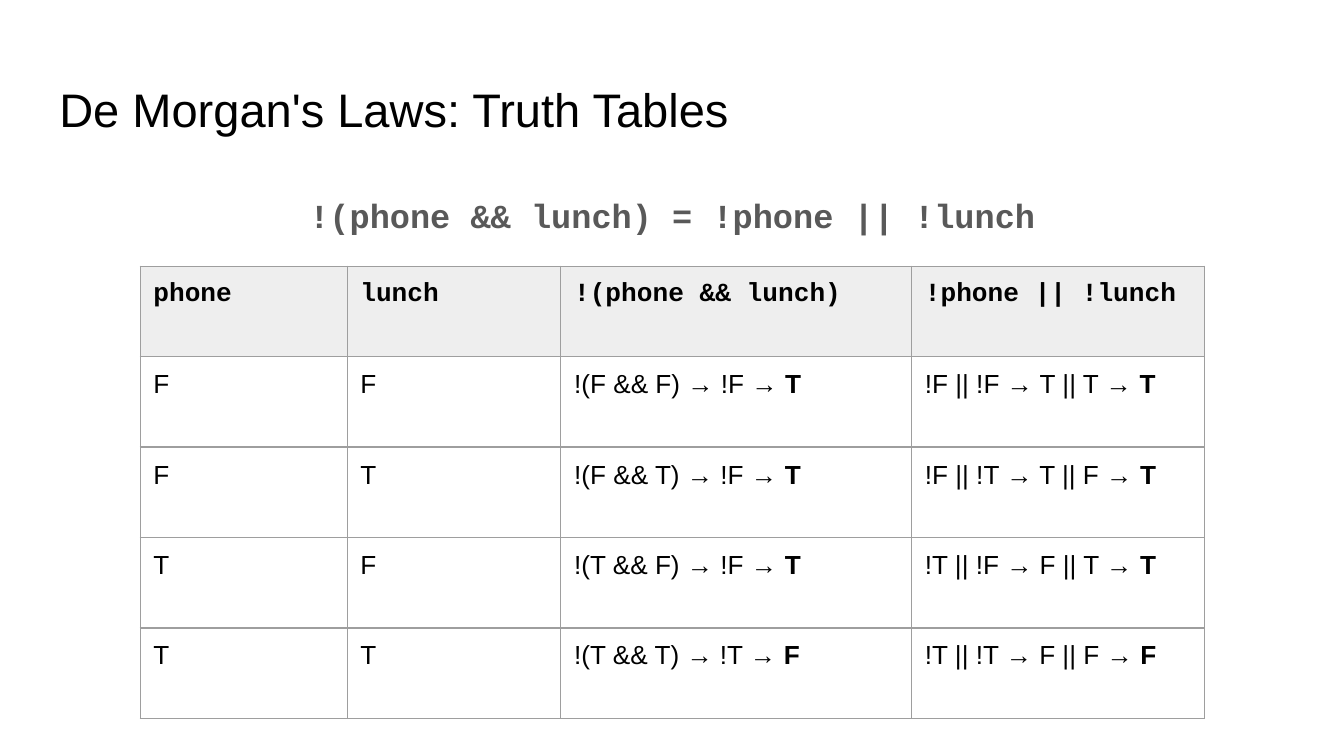
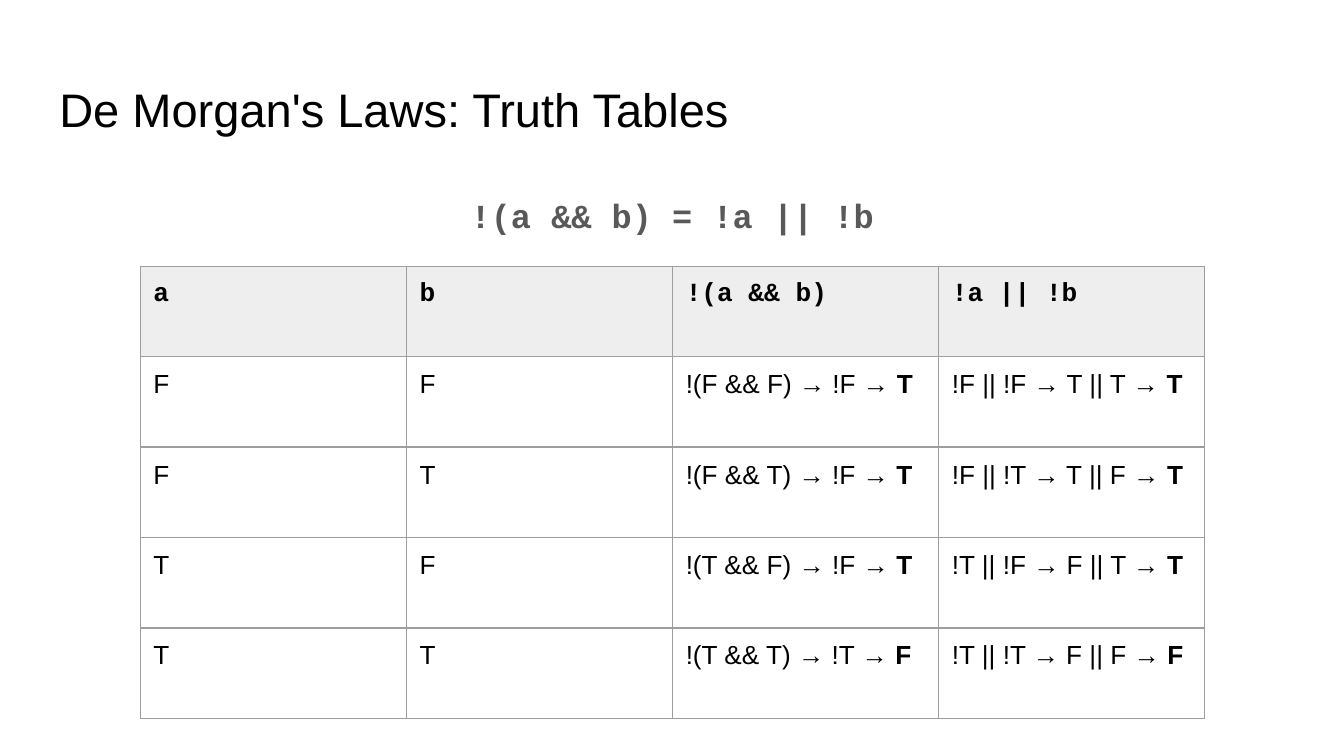
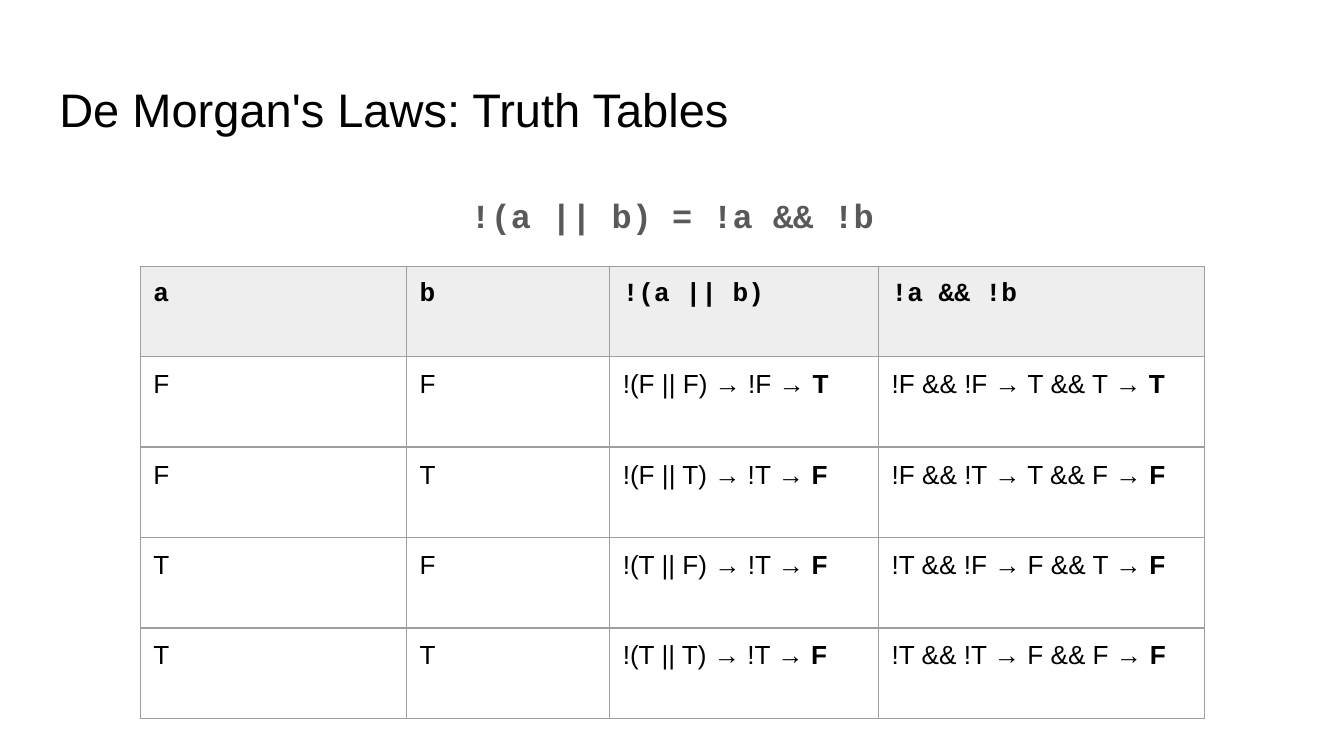
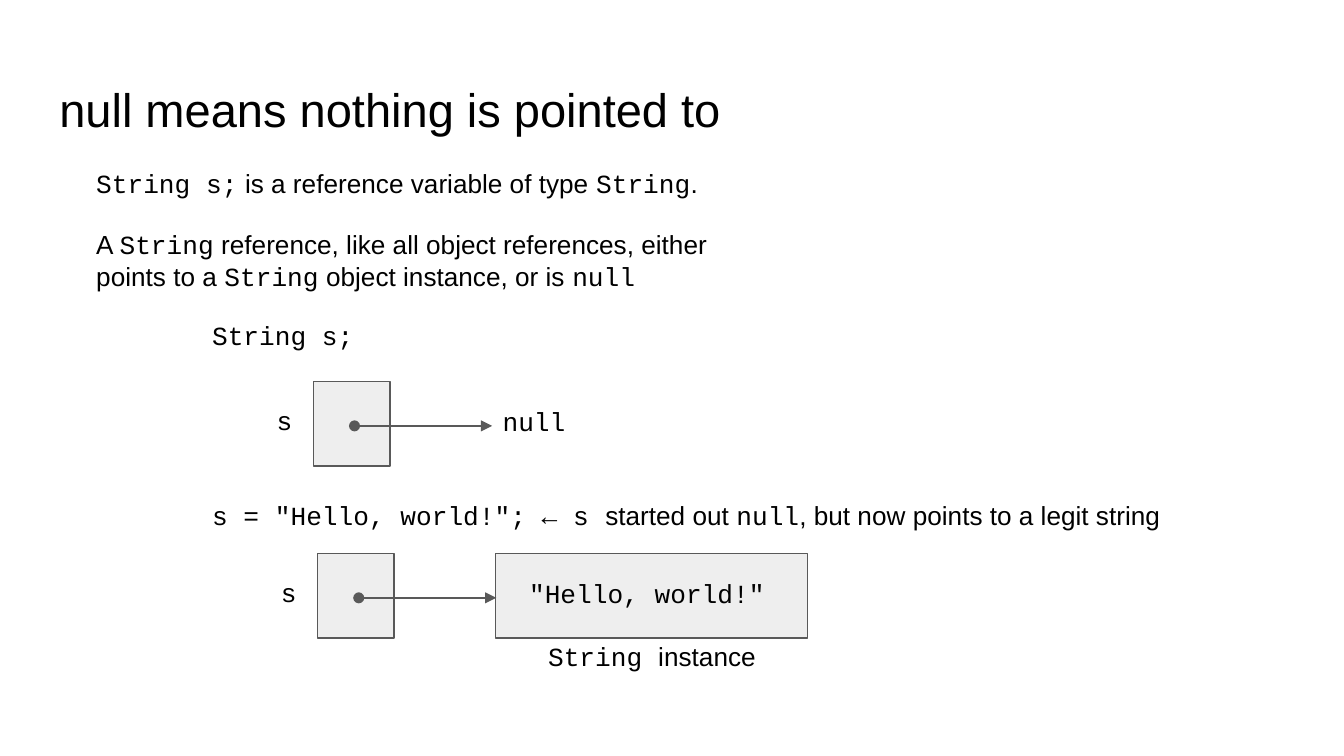
from dataclasses import dataclass
from itertools import product

from lxml.etree import SubElement
from pptx import Presentation
from pptx.dml.color import RGBColor
from pptx.enum.shapes import MSO_CONNECTOR as Connector, MSO_SHAPE as Preset
from pptx.enum.text import MSO_ANCHOR as Anchor, MSO_AUTO_SIZE as AutoSize, PP_ALIGN as Align
from pptx.oxml.ns import qn
from pptx.util import Cm, Pt

COLORS = {"text": "000000", "formula": "595959", "line": "595959",
          "fill": "EEEEEE", "border": "9E9E9E"}
SANS = "Arial"
CODE = "Courier New"
TITLE_ONLY = 5
INSET = Cm(0.25)
LINE_WIDTH = Pt(0.75)
ROW_HEIGHT = 1.71
BORDER_SIDES = ("a:lnL", "a:lnR", "a:lnT", "a:lnB")


@dataclass(frozen=True)
class Span:
    text: str
    font: str = SANS
    bold: bool = False


@dataclass(frozen=True)
class Box:
    left: float
    top: float
    width: float
    height: float = 1.12

    def lengths(self) -> tuple:
        return Cm(self.left), Cm(self.top), Cm(self.width), Cm(self.height)


@dataclass(frozen=True)
class Law:
    first: str
    second: str
    inner: str
    outer: str
    widths: tuple

    def sides(self) -> tuple:
        return (f"!({self.first} {self.inner} {self.second})",
                f"!{self.first} {self.outer} !{self.second}")


@dataclass(frozen=True)
class Label:
    box: Box
    paragraphs: tuple


TITLE_BOX = Box(0.87, 1.24, 23.67, 1.6)
FORMULA_BOX = Box(0.87, 3.2, 23.67, 1.6)
LAWS = (
    Law("phone", "lunch", "&&", "||", (3.91, 4.04, 6.63, 5.54)),
    Law("a", "b", "&&", "||", (5.03, 5.03, 5.03, 5.03)),
    Law("a", "b", "||", "&&", (5.03, 3.84, 5.08, 6.17)),
)
REFERENCES = (Box(5.92, 7.21, 1.45, 1.6), Box(6, 10.46, 1.45, 1.6))
INSTANCE = Box(9.37, 10.46, 5.89, 1.6)
LABELS = (
    Label(Box(1.57, 2.92, 13.49, 2.9), (
        (Span("String s;", CODE), Span(" is a reference variable of type "),
         Span("String", CODE), Span(".")),
        (Span("A "), Span("String", CODE),
         Span(" reference, like all object references, either points to a "),
         Span("String", CODE), Span(" object instance, or is "), Span("null", CODE)),
    )),
    Label(Box(3.76, 5.79, 13.49), ((Span("String s;", CODE),),)),
    Label(Box(9.25, 7.42, 2.39), ((Span("null", CODE),),)),
    Label(Box(3.76, 9.19, 20.17), (
        (Span('s = "Hello, world!"; ← s ', CODE), Span("started out "),
         Span("null", CODE), Span(", but now points to a legit string")),
    )),
    Label(Box(9.75, 10.67, 5.31), ((Span('"Hello, world!"', CODE),),)),
    Label(Box(10.11, 11.86, 5), ((Span("String ", CODE), Span("instance")),)),
)


def color(name: str) -> RGBColor:
    return RGBColor.from_string(COLORS[name])


def write(paragraph, spans: tuple, size: float = 14, color_name: str = "text") -> None:
    for span in spans:
        run = paragraph.add_run()
        run.text = span.text
        if len(spans) > 1:
            run.font.name = span.font
            run.font.bold = span.bold
    paragraph.font.size = Pt(size)
    paragraph.font.color.rgb = color(color_name)
    if len(spans) == 1:
        paragraph.font.name = spans[0].font
        paragraph.font.bold = spans[0].bold


def set_frame(frame, anchor=Anchor.TOP, auto_size=AutoSize.NONE) -> None:
    frame.word_wrap = True
    frame.auto_size = auto_size
    frame.vertical_anchor = anchor
    frame.margin_left = frame.margin_right = INSET
    frame.margin_top = frame.margin_bottom = INSET


def add_titled_slide(presentation, text: str):
    slide = presentation.slides.add_slide(presentation.slide_layouts[TITLE_ONLY])
    title = slide.shapes.title
    title.left, title.top, title.width, title.height = TITLE_BOX.lengths()
    set_frame(title.text_frame, Anchor.BOTTOM)
    paragraph = title.text_frame.paragraphs[0]
    paragraph.alignment = Align.LEFT
    write(paragraph, (Span(text),), 25.2)
    return slide


def add_formula(slide, text: str) -> None:
    frame = slide.shapes.add_textbox(*FORMULA_BOX.lengths()).text_frame
    set_frame(frame, Anchor.MIDDLE)
    paragraph = frame.paragraphs[0]
    paragraph.alignment = Align.CENTER
    paragraph.line_spacing = 1.15
    write(paragraph, (Span(text, CODE, True),), 18, "formula")


def add_label(slide, label: Label) -> None:
    frame = slide.shapes.add_textbox(*label.box.lengths()).text_frame
    set_frame(frame, auto_size=AutoSize.SHAPE_TO_FIT_TEXT)
    for index, spans in enumerate(label.paragraphs):
        paragraph = frame.add_paragraph() if index else frame.paragraphs[0]
        if index:
            paragraph.space_before = Pt(16)
        write(paragraph, spans)


def letter(value: bool) -> str:
    return "T" if value else "F"


def combine(operator: str, first: bool, second: bool) -> bool:
    return first and second if operator == "&&" else first or second


def truth_row(law: Law, first: bool, second: bool) -> tuple:
    a, b = letter(first), letter(second)
    inside = combine(law.inner, first, second)
    result = Span(letter(not inside), bold=True)
    left = f"!({a} {law.inner} {b}) → !{letter(inside)} → "
    right = f"!{a} {law.outer} !{b} → {letter(not first)} {law.outer} {letter(not second)} → "
    return (Span(a),), (Span(b),), (Span(left), result), (Span(right), result)


def add_borders(cell) -> None:
    properties = cell._tc.get_or_add_tcPr()
    for index, side in enumerate(BORDER_SIDES):
        line = properties.makeelement(qn(side), {"w": str(LINE_WIDTH)})
        fill = SubElement(line, qn("a:solidFill"))
        SubElement(fill, qn("a:srgbClr"), val=COLORS["border"])
        properties.insert(index, line)


def add_truth_table(slide, law: Law) -> None:
    header = tuple((Span(text, CODE, True),) for text in (law.first, law.second, *law.sides()))
    rows = [header] + [truth_row(law, *values) for values in product((False, True), repeat=2)]
    box = Box(2.65, 5.03, sum(law.widths), ROW_HEIGHT * len(rows))
    table = slide.shapes.add_table(len(rows), len(header), *box.lengths()).table
    table.first_row = table.horz_banding = False
    for column, width in zip(table.columns, law.widths):
        column.width = Cm(width)
    for row_index, row in enumerate(rows):
        table.rows[row_index].height = Cm(ROW_HEIGHT)
        for column_index, spans in enumerate(row):
            cell = table.cell(row_index, column_index)
            cell.margin_left = cell.margin_right = INSET
            cell.margin_top = cell.margin_bottom = INSET
            if row_index:
                cell.fill.background()
            else:
                cell.fill.solid()
                cell.fill.fore_color.rgb = color("fill")
            add_borders(cell)
            write(cell.text_frame.paragraphs[0], spans)


def add_memory_box(slide, box: Box) -> None:
    shape = slide.shapes.add_shape(Preset.RECTANGLE, *box.lengths())
    shape.shadow.inherit = False
    shape.fill.solid()
    shape.fill.fore_color.rgb = color("fill")
    shape.line.color.rgb = color("line")
    shape.line.width = LINE_WIDTH


def add_pointer(slide, left: float, top: float) -> None:
    y = Cm(top)
    pointer = slide.shapes.add_connector(Connector.STRAIGHT, Cm(left), y, Cm(left + 2.6), y)
    pointer.line.color.rgb = color("line")
    pointer.line.width = LINE_WIDTH
    line = pointer.line._get_or_add_ln()
    SubElement(line, qn("a:headEnd"), type="oval")
    SubElement(line, qn("a:tailEnd"), type="triangle")
    SubElement(pointer._element.spPr, qn("a:effectLst"))


def add_reference(slide, box: Box) -> None:
    add_memory_box(slide, box)
    add_label(slide, Label(Box(box.left - 0.94, box.top + 0.18, 0.86), ((Span("s", CODE),),)))
    add_pointer(slide, box.left + 0.78, box.top + 0.84)


def add_law_slide(presentation, law: Law) -> None:
    slide = add_titled_slide(presentation, "De Morgan's Laws: Truth Tables")
    add_formula(slide, " = ".join(law.sides()))
    add_truth_table(slide, law)


def add_null_slide(presentation) -> None:
    slide = add_titled_slide(presentation, "null means nothing is pointed to")
    add_memory_box(slide, INSTANCE)
    for reference in REFERENCES:
        add_reference(slide, reference)
    for label in LABELS:
        add_label(slide, label)


def main() -> None:
    presentation = Presentation()
    presentation.slide_width, presentation.slide_height = Cm(25.4), Cm(14.29)
    for law in LAWS:
        add_law_slide(presentation, law)
    add_null_slide(presentation)
    presentation.save("out.pptx")


if __name__ == "__main__":
    main()
